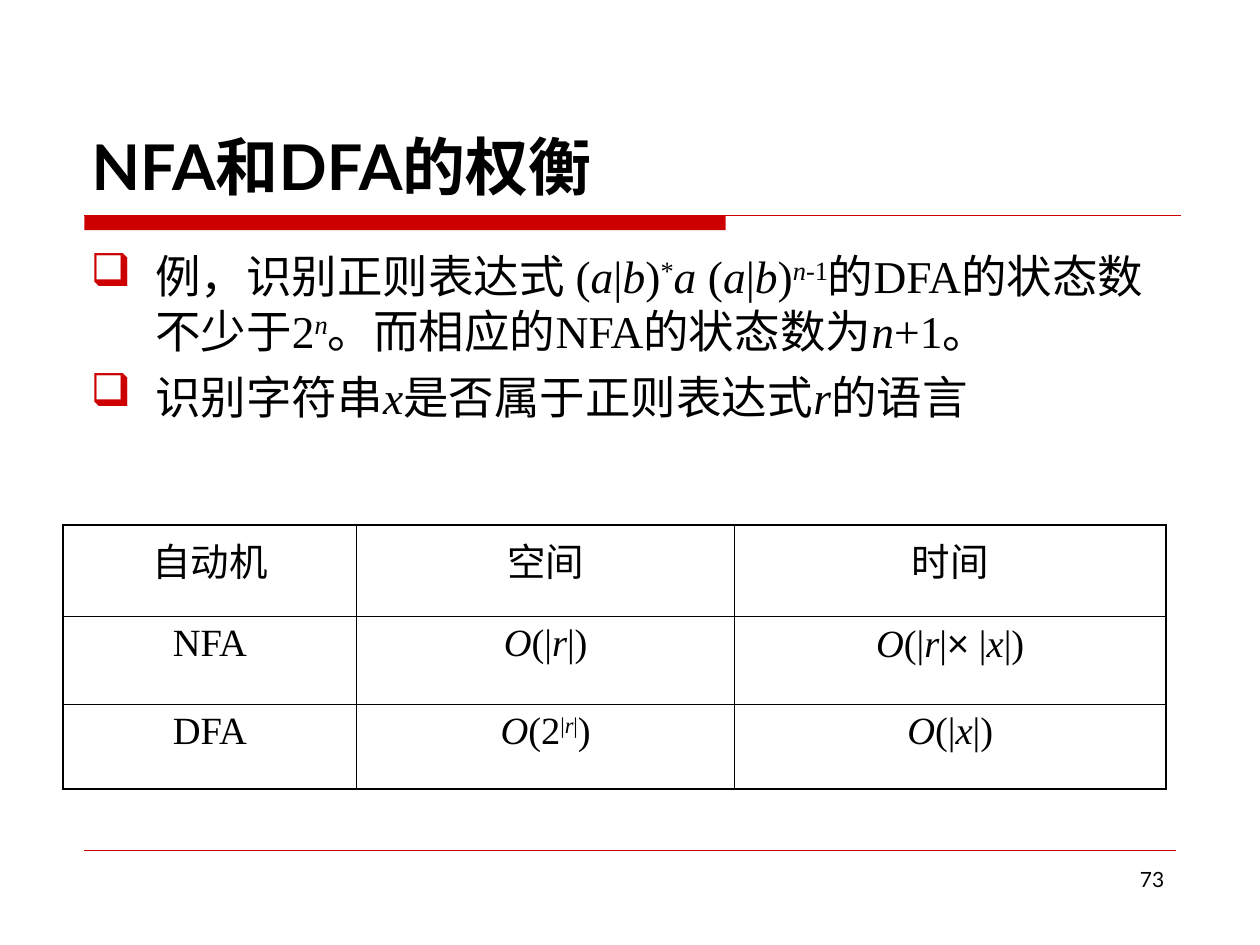
from lxml.etree import SubElement as Sub
from pptx import Presentation
from pptx.dml.color import RGBColor
from pptx.enum.shapes import MSO_CONNECTOR as Conn, MSO_SHAPE as Shape
from pptx.enum.text import MSO_ANCHOR as Anchor, PP_ALIGN as Align
from pptx.oxml.ns import qn
from pptx.util import Cm, Pt

RED = RGBColor(0xCC, 0x00, 0x00)
BLACK = RGBColor(0x00, 0x00, 0x00)
HEAD = "Lato"
BODY = "Times New Roman"
SIGN = "Arial"
POINTS = [
    "例，识别正则表达式 (/a/|/b/)^*^/a /(/a/|/b/)^/n/-1^的DFA的状态数不少于2^/n/^。而相应的NFA的状态数为/n/+1。",
    "识别字符串/x/是否属于正则表达式/r/的语言",
]
ROWS = [
    ["自动机", "空间", "时间"],
    ["NFA", "/O/(|/r/|)", "/O/(|/r/|//×// |/x/|)"],
    ["DFA", "/O/(2^|/r/|^)", "/O/(|/x/|)"],
]
COLS = [5.92, 7.62, 8.69]
HIGHS = [1.83, 1.78, 1.7]


def write(para, text, size, name=BODY, bold=False):
    """Fill a paragraph, where slashes enclose italics and carets superscripts."""
    for up, part in enumerate(text.split("^")):
        for lean, bit in enumerate(part.split("/")):
            if not bit:
                continue
            run = para.add_run()
            run.text = bit
            font = run.font
            font.size = Pt(size)
            font.name = SIGN if bit == "×" else name
            font.bold = bold
            font.italic = lean % 2 == 1
            font.color.rgb = BLACK
            if up % 2:
                run._r.get_or_add_rPr().set("baseline", "30000")


def add_box(slide, left, top, width, height):
    """Add a wrapping text box and return its frame."""
    box = slide.shapes.add_textbox(Cm(left), Cm(top), Cm(width), Cm(height))
    box.text_frame.word_wrap = True
    return box.text_frame


def add_rule(slide, left, top, width, weight):
    """Draw a thin red horizontal line."""
    rule = slide.shapes.add_connector(
        Conn.STRAIGHT, Cm(left), Cm(top), Cm(left + width), Cm(top))
    rule.line.color.rgb = RED
    rule.line.width = Pt(weight)
    Sub(rule._element.spPr, qn("a:effectLst"))


def add_title(slide, left, top, width, height):
    """Place the heading with the red bar under it."""
    frame = add_box(slide, left, top, width, height)
    frame.vertical_anchor = Anchor.BOTTOM
    write(frame.paragraphs[0], "NFA和DFA的权衡", 36, HEAD, True)
    edge, base = left + 0.1, top + height + 0.12
    bar = slide.shapes.add_shape(
        Shape.RECTANGLE, Cm(edge), Cm(base), Cm(12.93), Cm(0.3))
    bar.shadow.inherit = False
    bar.fill.solid()
    bar.fill.fore_color.rgb = RED
    bar.line.fill.background()
    add_rule(slide, edge, base, 22.1, 0.75)


def add_points(slide, left, top, width, height):
    """Place the bulleted points."""
    frame = add_box(slide, left, top, width, height)
    for num, text in enumerate(POINTS):
        para = frame.add_paragraph() if num else frame.paragraphs[0]
        props = para._p.get_or_add_pPr()
        props.set("marL", str(Cm(1.3)))
        props.set("indent", str(-Cm(1.3)))
        Sub(Sub(props, qn("a:buClr")), qn("a:srgbClr"), val=str(RED))
        Sub(props, qn("a:buChar"), char="❑")
        if num:
            para.space_before = Pt(6.5)
        write(para, text, 26)


def add_edges(cell, row, col):
    """Border a cell, heavier on the outside of the grid."""
    props = cell._tc.get_or_add_tcPr()
    outer = {"lnL": col == 0, "lnR": col == len(COLS) - 1,
             "lnT": row == 0, "lnB": row == len(ROWS) - 1}
    for tag, thick in outer.items():
        edge = Sub(props, qn("a:" + tag), w=str(Pt(1.08 if thick else 0.45)))
        Sub(Sub(edge, qn("a:solidFill")), qn("a:srgbClr"), val=str(BLACK))


def add_costs(slide, left, top):
    """Place the table of space and time costs."""
    grid = slide.shapes.add_table(
        len(ROWS), len(COLS), Cm(left), Cm(top), Cm(sum(COLS)), Cm(sum(HIGHS))).table
    grid.first_row = grid.horz_banding = False
    for col, width in zip(grid.columns, COLS):
        col.width = Cm(width)
    for row, height in zip(grid.rows, HIGHS):
        row.height = Cm(height)
    for row, texts in enumerate(ROWS):
        for col, text in enumerate(texts):
            cell = grid.cell(row, col)
            add_edges(cell, row, col)
            cell.fill.background()
            para = cell.text_frame.paragraphs[0]
            para.alignment = Align.CENTER
            write(para, text, 22)


def add_foot(slide, left, top, width):
    """Place the bottom rule and the page number."""
    add_rule(slide, left, top, width, 0.25)
    frame = add_box(slide, left + width - 5.49, top + 0.2, 5.51, 1.32)
    para = frame.paragraphs[0]
    para.alignment = Align.RIGHT
    write(para, "73", 12, HEAD)


def main():
    """Build and save the slide."""
    deck = Presentation()
    deck.slide_width, deck.slide_height = Cm(25.4), Cm(19.05)
    slide = deck.slides.add_slide(deck.slide_layouts[6])
    add_title(slide, 1.6, 0.84, 22.22, 3.38)
    add_points(slide, 1.58, 4.88, 22.22, 11.86)
    add_costs(slide, 1.27, 10.59)
    add_foot(slide, 1.7, 17.15, 22)
    deck.save("out.pptx")


if __name__ == "__main__":
    main()
